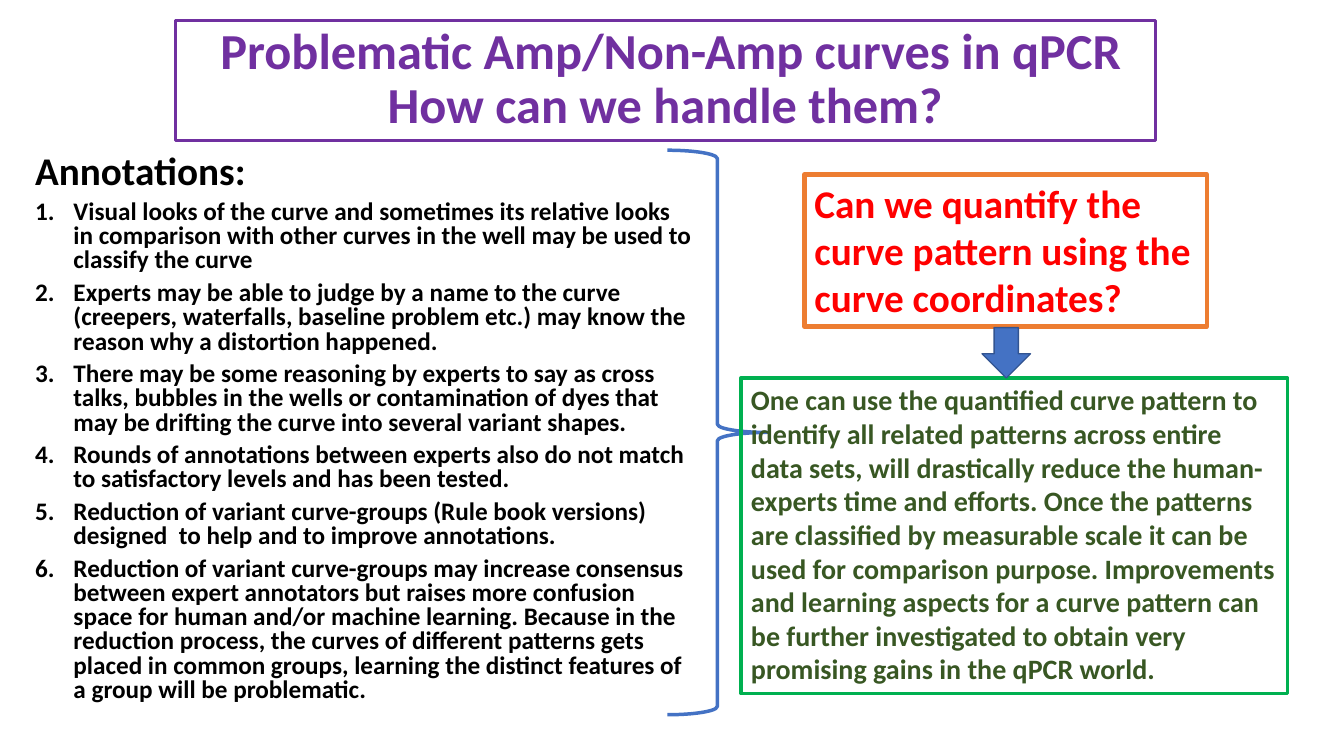
from lxml.etree import SubElement
from pptx import Presentation
from pptx.dml.color import RGBColor
from pptx.enum.shapes import MSO_SHAPE
from pptx.enum.text import MSO_ANCHOR, MSO_AUTO_SIZE, PP_ALIGN
from pptx.oxml.ns import qn
from pptx.util import Inches, Pt

WIDTH, HEIGHT = Inches(13.33), Inches(7.5)
INDENT = Inches(0.38)

PURPLE = RGBColor(0x70, 0x30, 0xA0)
BLACK = RGBColor(0x00, 0x00, 0x00)
WHITE = RGBColor(0xFF, 0xFF, 0xFF)
ORANGE = RGBColor(0xED, 0x7D, 0x31)
RED = RGBColor(0xFF, 0x00, 0x00)
BLUE = RGBColor(0x44, 0x72, 0xC4)
DARK_BLUE = RGBColor(0x32, 0x54, 0x91)
GREEN = RGBColor(0x00, 0xB0, 0x50)
DARK_GREEN = RGBColor(0x38, 0x57, 0x23)

TITLE = " Problematic Amp/Non-Amp curves in qPCR\vHow can we handle them?"
ANNOTATIONS = [
    "Visual looks of the curve and sometimes its relative looks in comparison "
    "with other curves in the well may be used to classify the curve",
    "Experts may be able to judge by a name to the curve (creepers, waterfalls, "
    "baseline problem etc.) may know the reason why a distortion happened.",
    "There may be some reasoning by experts to say as cross talks, bubbles in the "
    "wells or contamination of dyes that may be drifting the curve into several "
    "variant shapes.",
    "Rounds of annotations between experts also do not match to satisfactory "
    "levels and has been tested.",
    "Reduction of variant curve-groups (Rule book versions) designed  to help and "
    "to improve annotations.",
    "Reduction of variant curve-groups may increase consensus between expert "
    "annotators but raises more confusion space for human and/or machine learning. "
    "Because in the reduction process, the curves of different patterns gets "
    "placed in common groups, learning the distinct features of a group will be "
    "problematic.",
]
QUESTION = "Can we quantify the curve pattern using the curve coordinates?"
ANSWER = (
    "One can use the quantified curve pattern to identify all related patterns "
    "across entire data sets, will drastically reduce the human-experts time and "
    "efforts. Once the patterns are classified by measurable scale it can be used "
    "for comparison purpose. Improvements and learning aspects for a curve pattern "
    "can be further investigated to obtain very promising gains in the qPCR world."
)


def area(left, top, width, height):
    """Turn percentages of the slide into lengths."""
    return (int(WIDTH * left / 100), int(HEIGHT * top / 100),
            int(WIDTH * width / 100), int(HEIGHT * height / 100))


def set_all(obj, values):
    for name, value in values.items():
        setattr(obj, name, value)


def set_line(sp, color, width):
    sp.line.color.rgb = color
    sp.line.width = Pt(width)


def write(p, text, size, color, **layout):
    p.text = text
    set_all(p, layout)
    for r in p.runs:
        set_all(r.font, {"name": "Calibri", "size": Pt(size), "bold": True})
        r.font.color.rgb = color


def set_frame(tf, anchor=MSO_ANCHOR.TOP):
    set_all(tf, {"word_wrap": True, "vertical_anchor": anchor,
                 "auto_size": MSO_AUTO_SIZE.SHAPE_TO_FIT_TEXT})


def number(p):
    pPr = p._p.get_or_add_pPr()
    pPr.set("marL", str(INDENT))
    pPr.set("indent", str(-INDENT))
    SubElement(pPr, qn("a:buFont"), typeface="+mj-lt")
    SubElement(pPr, qn("a:buAutoNum"), type="arabicPeriod")


def add_figure(shapes, kind, place, line, width, fill=None):
    sp = shapes.add_shape(kind, *area(*place))
    sp.shadow.inherit = False
    set_line(sp, line, width)
    if fill is None:
        sp.fill.background()
    else:
        sp.fill.solid()
        sp.fill.fore_color.rgb = fill
    return sp


def add_box(shapes, place, text, size, color, line, width, fill=None):
    sp = add_figure(shapes, MSO_SHAPE.RECTANGLE, place, line, width, fill)
    set_frame(sp.text_frame)
    write(sp.text_frame.paragraphs[0], text, size, color, alignment=PP_ALIGN.LEFT)


def add_title(s):
    sp = s.shapes.title
    sp.left, sp.top, sp.width, sp.height = area(13.05, 2.67, 72.92, 15.87)
    set_line(sp, PURPLE, 2)
    set_frame(sp.text_frame, MSO_ANCHOR.MIDDLE)
    write(sp.text_frame.paragraphs[0], TITLE, 36, PURPLE,
          alignment=PP_ALIGN.CENTER, line_spacing=0.9)


def add_numbered_list(s, place, heading, items):
    tf = s.shapes.add_textbox(*area(*place)).text_frame
    set_frame(tf)
    spacing = {"line_spacing": 0.8, "space_after": Pt(6)}
    write(tf.paragraphs[0], heading, 28, BLACK, **spacing)
    for item in items:
        p = tf.add_paragraph()
        number(p)
        write(p, item, 18, BLACK, **spacing)


def main():
    prs = Presentation()
    set_all(prs, {"slide_width": WIDTH, "slide_height": HEIGHT})
    s = prs.slides.add_slide(prs.slide_layouts.get_by_name("Title Only"))
    add_title(s)

    # Annotations and the brace that closes them
    add_numbered_list(s, (1.88, 19.87, 50.34, 74.53), "Annotations:", ANNOTATIONS)
    add_box(s.shapes, (59.86, 23.07, 29.93, 20.13), QUESTION, 28, RED,
            ORANGE, 3, WHITE)
    add_figure(s.shapes, MSO_SHAPE.RIGHT_BRACE, (49.66, 19.87, 7.43, 74.67),
               BLUE, 2.5)

    # Answer with the arrow that leads to it
    group = s.shapes.add_group_shape()
    add_box(group.shapes, (55.14, 50, 40.66, 41.73), ANSWER, 20, DARK_GREEN,
            GREEN, 2.5)
    add_figure(group.shapes, MSO_SHAPE.DOWN_ARROW, (73.07, 43.33, 3.6, 6.67),
               DARK_BLUE, 1, BLUE)

    prs.save("out.pptx")


if __name__ == "__main__":
    main()
